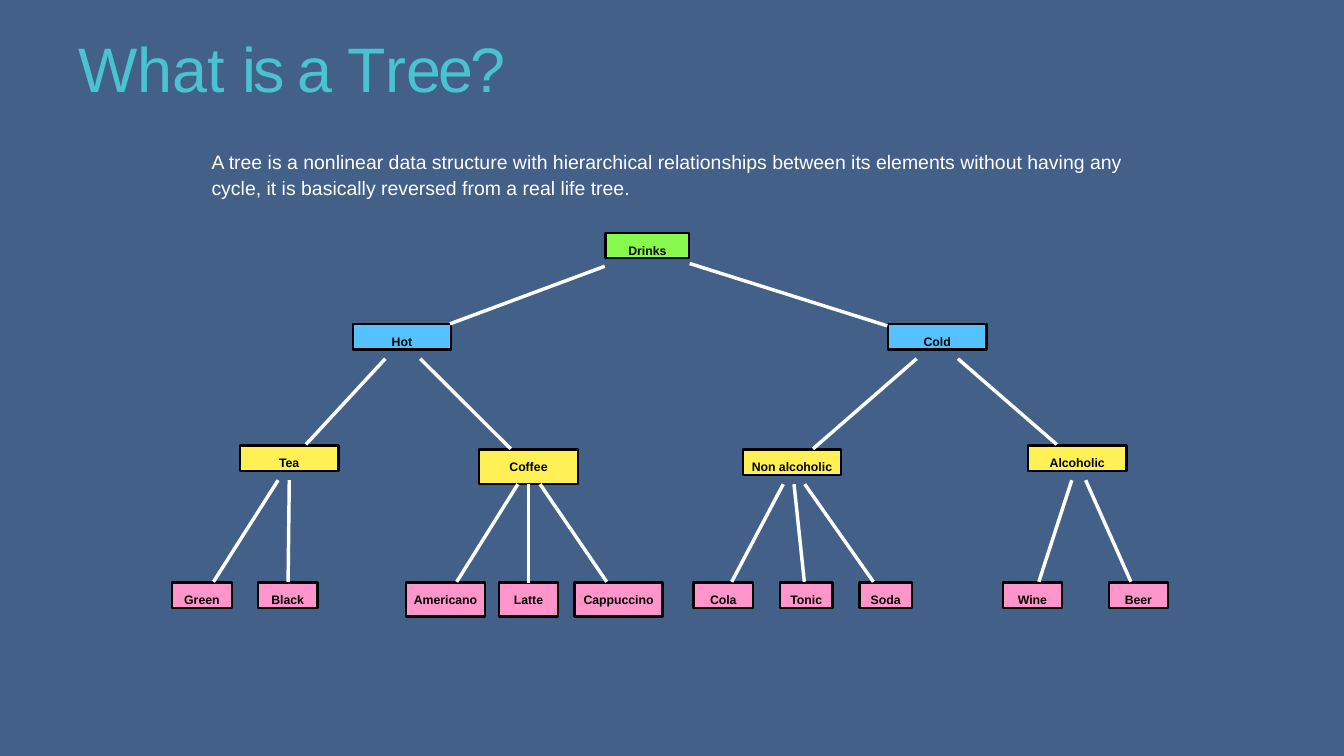
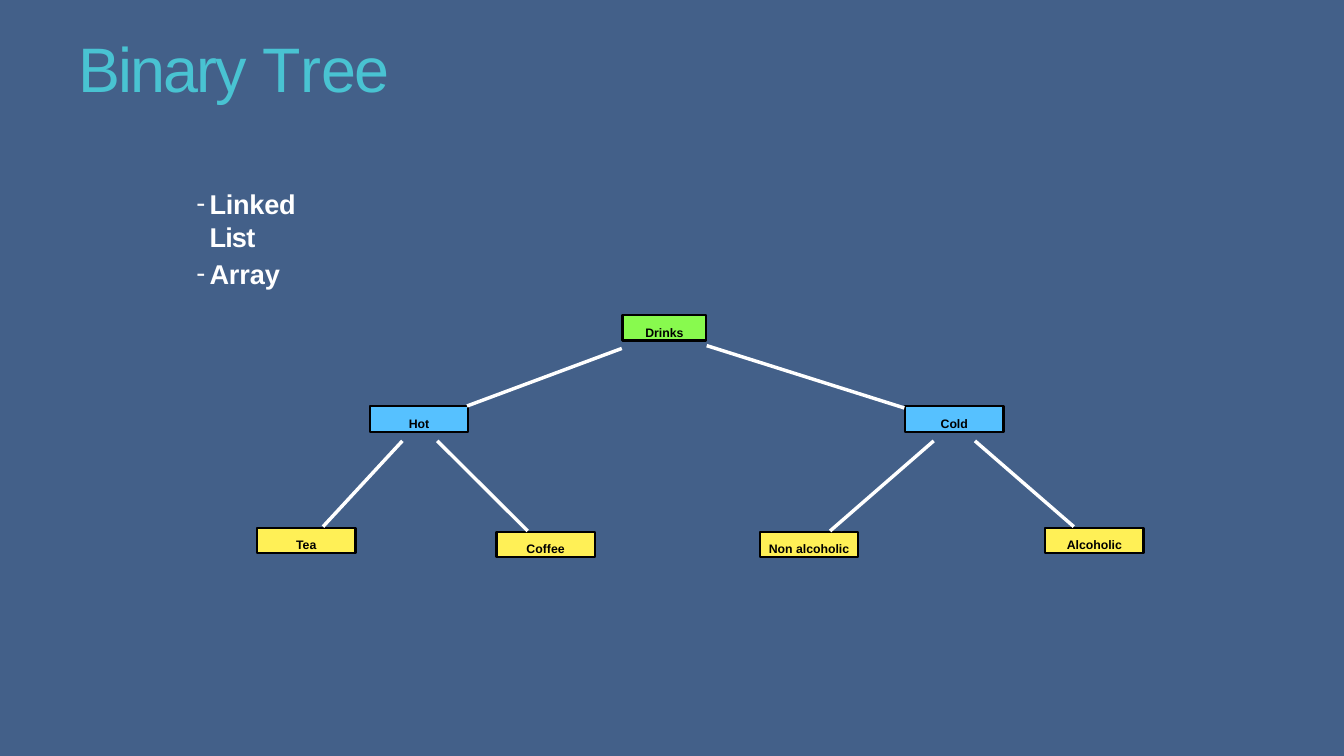
"""Build two slides that show a tree of drinks and its binary part."""
from lxml import etree
from pptx import Presentation
from pptx.dml.color import RGBColor
from pptx.enum.shapes import MSO_CONNECTOR, MSO_SHAPE
from pptx.enum.text import MSO_ANCHOR, MSO_AUTO_SIZE, PP_ALIGN
from pptx.oxml.ns import qn
from pptx.util import Cm, Pt

RECT = MSO_SHAPE.RECTANGLE
LINE = MSO_CONNECTOR.STRAIGHT
TOP = MSO_ANCHOR.TOP
FIXED = MSO_AUTO_SIZE.NONE
LEFT, MID = PP_ALIGN.LEFT, PP_ALIGN.CENTER

FONT = "Arial"
NAVY = RGBColor(0x43, 0x60, 0x89)
TEAL = RGBColor(0x49, 0xC3, 0xD2)
WHITE = RGBColor(0xFF, 0xFF, 0xFF)
BLACK = RGBColor(0, 0, 0)
GREEN = RGBColor(0x88, 0xFA, 0x4E)
BLUE = RGBColor(0x56, 0xC1, 0xFF)
GOLD = RGBColor(0xFF, 0xF0, 0x56)
PINK = RGBColor(0xFF, 0x95, 0xCA)

LOW, HIGH = 0.64, 0.86
LEAF_Y, LEAF_END = 14.68, 14.66

CORE = [
    ("Drinks", 15.26, 5.87, 2.11, GREEN),
    ("Hot", 8.89, 8.17, 2.48, BLUE),
    ("Cold", 22.38, 8.17, 2.48, BLUE),
    ("Tea", 6.05, 11.23, 2.48, GOLD),
    ("Coﬀee", 12.08, 11.33, 2.48, GOLD),
    ("Non alcoholic", 18.72, 11.33, 2.48, GOLD),
    ("Alcoholic", 25.91, 11.23, 2.48, GOLD),
]
LEAVES = [(name, x, LEAF_Y, width, PINK) for name, x, width in (
    ("Green", 4.34, 1.5),
    ("Black", 6.5, 1.5),
    ("Americano", 10.24, 1.98),
    ("Latte", 12.57, 1.5),
    ("Cappuccino", 14.48, 2.22),
    ("Cola", 17.48, 1.5),
    ("Tonic", 19.66, 1.32),
    ("Soda", 21.66, 1.32),
    ("Wine", 25.27, 1.5),
    ("Beer", 27.94, 1.5),
)]
TALL = ("Coﬀee", "Americano", "Latte", "Cappuccino")

CORE_LINKS = [
    (15.24, 6.71, 11.34, 8.16),
    (17.38, 6.64, 22.36, 8.21),
    (9.71, 9.04, 7.71, 11.2),
    (10.59, 9.04, 12.87, 11.31),
    (23.1, 9.04, 20.49, 11.31),
    (24.14, 9.04, 26.63, 11.2),
]
LEAF_LINKS = [(x, y, end, LEAF_END) for x, y, end in (
    (7.01, 12.1, 5.38),
    (7.29, 12.1, 7.26),
    (13.05, 12.2, 11.51),
    (13.61, 12.2, 15.29),
    (19.74, 12.2, 18.44),
    (20.01, 12.2, 20.27),
    (20.28, 12.2, 22.01),
    (27.01, 12.1, 26.18),
    (27.36, 12.1, 28.5),
)]


def place(shape, x, y, width, height):
    shape.left, shape.top = Cm(x), Cm(y)
    shape.width, shape.height = Cm(width), Cm(height)


def set_frame(shape, inset):
    frame = shape.text_frame
    frame.margin_left = frame.margin_right = frame.margin_bottom = 0
    frame.margin_top = Cm(inset)
    frame.vertical_anchor = TOP
    frame.word_wrap = True
    frame.auto_size = FIXED
    return frame


def set_font(para, size, color, bold=False):
    font = para.font
    font.name, font.size, font.bold = FONT, Pt(size), bold
    font.color.rgb = color


def add_runs(para, parts):
    for text, gap in parts:
        run = para.add_run()
        run.text = text
        run._r.get_or_add_rPr().set("spc", str(round(gap * 100)))


def set_bullet(para, mark=None, hang=0.0):
    props = para._p.get_or_add_pPr()
    props.set("marL", str(Cm(hang)))
    props.set("indent", str(-Cm(hang)))
    if mark:
        etree.SubElement(props, qn("a:buChar")).set("char", mark)
    else:
        etree.SubElement(props, qn("a:buNone"))


def add_slide(deck, parts):
    slide = deck.slides.add_slide(deck.slide_layouts[1])
    title = slide.shapes.title
    place(title, 1.98, 0.71, 18, 1.95)
    para = set_frame(title, 0.03).paragraphs[0]
    para.alignment = LEFT
    set_font(para, 44.9, TEAL)
    add_runs(para, parts)
    return slide


def add_intro(slide, text):
    body = slide.placeholders[1]
    place(body, 5.33, 3.66, 23.3, 1.37)
    para = set_frame(body, 0.03).paragraphs[0]
    set_bullet(para)
    para.line_spacing = 1.14
    para.space_before = Pt(0)
    set_font(para, 13.9, WHITE)
    para.text = text


def add_list(slide, items):
    body = slide.placeholders[1]
    place(body, 4.95, 4.6, 3.7, 2.6)
    frame = set_frame(body, 0.12)
    for index, parts in enumerate(items):
        para = frame.add_paragraph() if index else frame.paragraphs[0]
        set_bullet(para, "-", 0.33)
        para.space_before = Pt(3.2 if index else 0)
        set_font(para, 19.4, WHITE, True)
        add_runs(para, parts)


def add_node(slide, name, x, y, width, height, color):
    node = slide.shapes.add_shape(RECT, Cm(x), Cm(y), Cm(width), Cm(height))
    node.shadow.inherit = False
    node.fill.solid()
    node.fill.fore_color.rgb = color
    node.line.color.rgb = BLACK
    node.line.width = Pt(1.65)
    para = set_frame(node, 0.25).paragraphs[0]
    para.alignment = MID
    set_font(para, 8.8, BLACK, True)
    para.text = name
    return node


def add_link(slide, *ends):
    link = slide.shapes.add_connector(LINE, *map(Cm, ends))
    link.line.color.rgb = WHITE
    link.line.width = Pt(2.47)
    etree.SubElement(link._element.spPr, qn("a:effectLst"))
    return link


def add_tree(slide, nodes, links, tall=(), dx=0.0, dy=0.0):
    made = {}
    for name, x, y, width, color in nodes:
        height = HIGH if name in tall else LOW
        made[name] = add_node(slide, name, x + dx, y + dy, width, height, color)
    for x, y, end_x, end_y in links:
        add_link(slide, x + dx, y + dy, end_x + dx, end_y + dy)
    return made


def main():
    deck = Presentation()
    deck.slide_width, deck.slide_height = Cm(33.87), Cm(19.05)
    back = deck.slide_master.background.fill
    back.solid()
    back.fore_color.rgb = NAVY

    slide = add_slide(deck, [("What ", -0.1), ("is a ", -1.8), ("T", -6.4),
                             ("r", -2.8), ("ee?", -2)])
    add_intro(slide, "A tree is a nonlinear data structure with hierarchical "
                     "relationships between its elements without having any "
                     "cycle, it is basically reversed from a real life tree.")
    nodes = add_tree(slide, CORE + LEAVES, CORE_LINKS + LEAF_LINKS, TALL)
    link = add_link(slide, 0, 0, 0, 0)
    link.begin_connect(nodes["Coﬀee"], 2)
    link.end_connect(nodes["Latte"], 0)

    slide = add_slide(deck, [("Binary ", -1.4), ("T", -5.8), ("r", -2.2),
                             ("ee", -1.4)])
    add_list(slide, [[("Linked ", -0.2), ("List", -0.6)], [("Array", -0.1)]])
    add_tree(slide, CORE, CORE_LINKS, dx=0.43, dy=2.07)

    deck.save("out.pptx")


if __name__ == "__main__":
    main()
